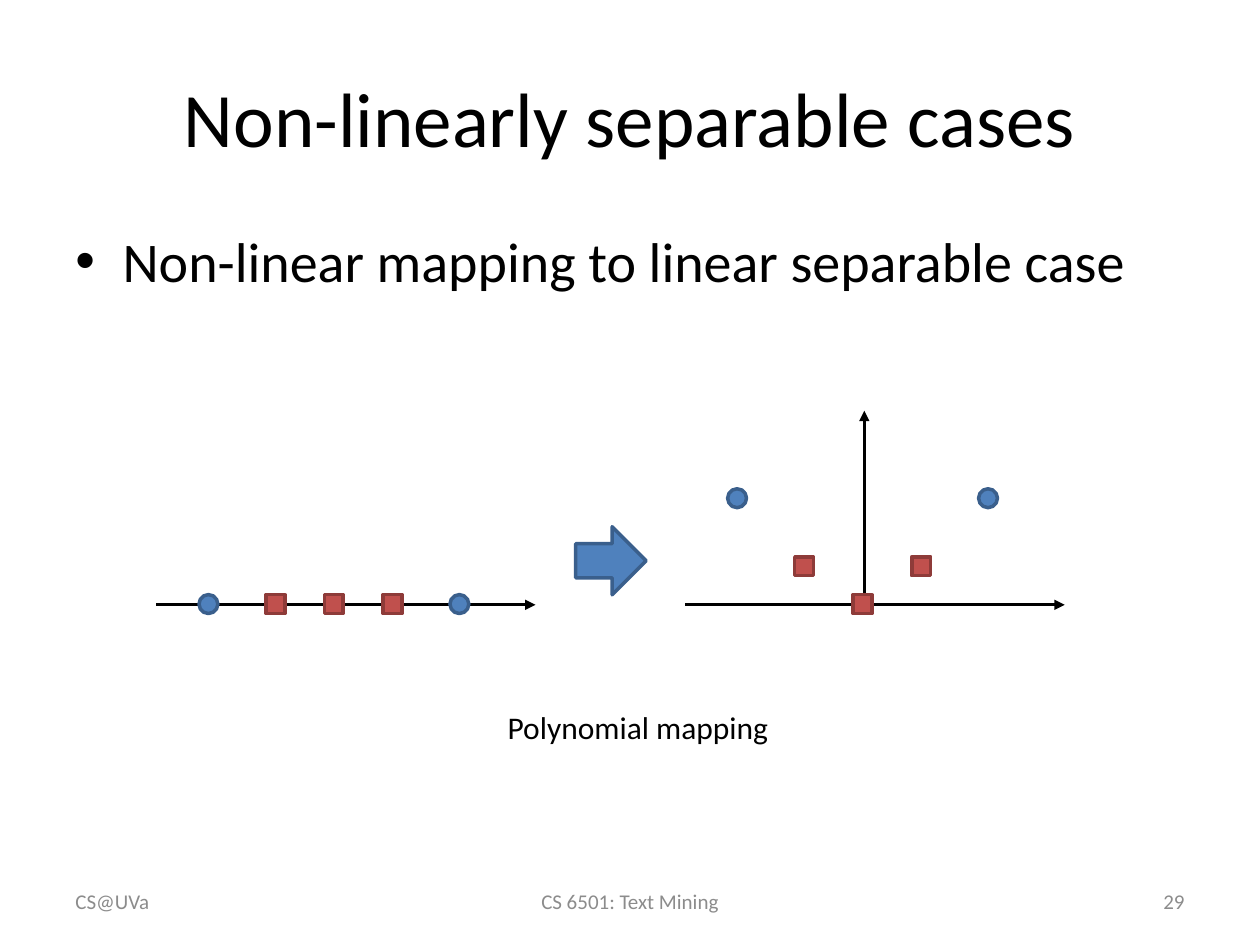
from lxml.etree import SubElement
from pptx import Presentation
from pptx.dml.color import RGBColor
from pptx.enum.shapes import MSO_CONNECTOR, MSO_SHAPE
from pptx.enum.text import MSO_ANCHOR, PP_ALIGN
from pptx.oxml.ns import qn
from pptx.util import Pt

COLORS = {
    "black": "000000", "footer": "8C8C8C",
    "blue": "4F81BD", "blue edge": "3A5F8C",
    "red": "C0504D", "red edge": "8E3B39",
}


def add_text(text, box, size, color="black", align=PP_ALIGN.LEFT,
             anchor=MSO_ANCHOR.TOP, bullet_indent=0):
    frame = slide.shapes.add_textbox(*map(Pt, box)).text_frame
    frame.word_wrap = True
    frame.vertical_anchor = anchor
    paragraph = frame.paragraphs[0]
    paragraph.text = text
    paragraph.alignment = align
    if bullet_indent:
        properties = paragraph._p.get_or_add_pPr()
        properties.set("marL", str(Pt(bullet_indent)))
        properties.set("indent", str(-Pt(bullet_indent)))
        SubElement(properties, qn("a:buFont"), typeface="Arial")
        SubElement(properties, qn("a:buChar"), char="•")
    font = paragraph.runs[0].font
    for attribute, value in {"name": "Calibri", "size": Pt(size)}.items():
        setattr(font, attribute, value)
    font.color.rgb = RGBColor.from_string(COLORS[color])


def add_figure(kind, box, color):
    figure = slide.shapes.add_shape(kind, *map(Pt, box))
    figure.shadow.inherit = False
    figure.fill.solid()
    figure.fill.fore_color.rgb = RGBColor.from_string(COLORS[color])
    figure.line.color.rgb = RGBColor.from_string(COLORS[color + " edge"])
    figure.line.width = Pt(2)


presentation = Presentation()
presentation.slide_width, presentation.slide_height = Pt(720), Pt(540)
slide = presentation.slides.add_slide(presentation.slide_layouts[6])

# Title and bullet
add_text("Non-linearly separable cases", (36, 21.6, 648, 90), 44,
         align=PP_ALIGN.CENTER, anchor=MSO_ANCHOR.MIDDLE)
add_text("Non-linear mapping to linear separable case", (36, 126, 648, 356.4), 32,
         bullet_indent=27)

# Axes: the input line, then the mapped plane
axis_y = 345.6
axes = [
    (89.3, axis_y, 306, axis_y),
    (391.7, axis_y, 608.4, axis_y),
    (493.9, axis_y, 493.9, 234.7),
]
for ends in axes:
    axis = slide.shapes.add_connector(MSO_CONNECTOR.STRAIGHT, *map(Pt, ends))
    axis.line.color.rgb = RGBColor.from_string(COLORS["black"])
    axis.line.width = Pt(1.5)
    SubElement(axis.line._get_or_add_ln(), qn("a:tailEnd"), type="triangle")
    SubElement(axis._element.spPr, qn("a:effectLst"))

# Data points: offset from the middle, and height after the mapping
marker = 10.8
data_points = [
    (-71.6, 60.5, MSO_SHAPE.OVAL, "blue"),
    (-33.3, 21.6, MSO_SHAPE.RECTANGLE, "red"),
    (0, 0, MSO_SHAPE.RECTANGLE, "red"),
    (33.6, 21.6, MSO_SHAPE.RECTANGLE, "red"),
    (71.8, 60.5, MSO_SHAPE.OVAL, "blue"),
]
for middle, lift in [(185.3, 0), (487.4, 1)]:
    for offset, height, kind, color in data_points:
        add_figure(kind, (middle + offset, 339.8 - lift * height, marker, marker), color)

# Mapping arrow and its caption
add_figure(MSO_SHAPE.RIGHT_ARROW, (329, 301, 40.3, 38.9), "blue")
add_text("Polynomial mapping", (283, 401, 172, 29.5), 18)

# Footer
footers = [
    ("CS@UVa", 36, 168, PP_ALIGN.LEFT),
    ("CS 6501: Text Mining", 246, 228, PP_ALIGN.CENTER),
    ("29", 516, 168, PP_ALIGN.RIGHT),
]
for text, left, width, align in footers:
    add_text(text, (left, 500.5, width, 28.8), 12, "footer", align, MSO_ANCHOR.MIDDLE)

presentation.save("out.pptx")
